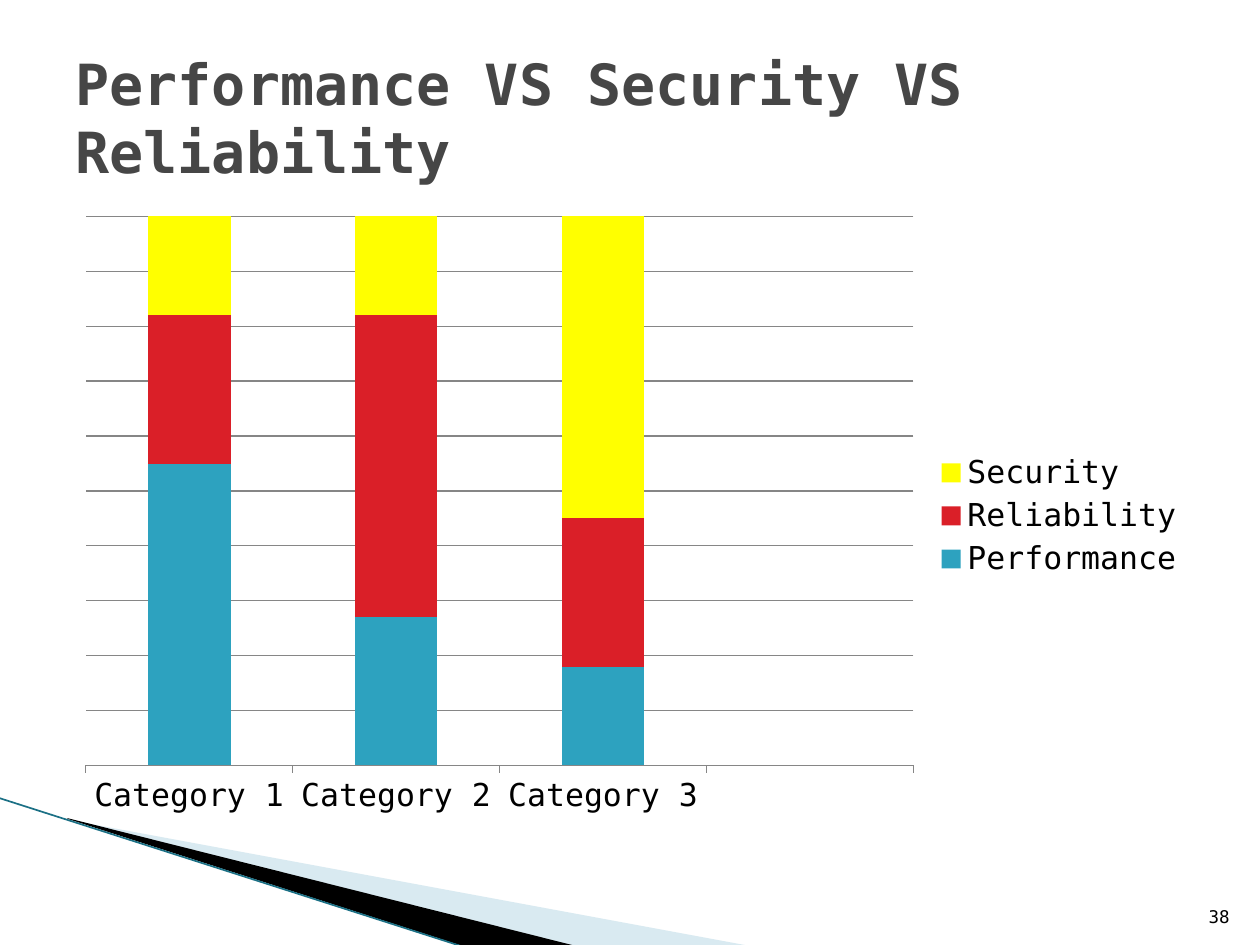
from lxml.etree import SubElement
from pptx import Presentation
from pptx.chart.data import CategoryChartData
from pptx.dml.color import RGBColor
from pptx.enum.chart import XL_CHART_TYPE, XL_LEGEND_POSITION, XL_TICK_MARK
from pptx.enum.shapes import MSO_CONNECTOR
from pptx.enum.text import MSO_ANCHOR, PP_ALIGN
from pptx.oxml import parse_xml
from pptx.oxml.ns import nsdecls, qn
from pptx.util import Pt

PX = 914400 / 126
THEME = {
    "font": "DejaVu Sans Mono",
    "title_size": 32.4, "chart_size": 18, "number_size": 10,
    "title": "464646", "text": "000000", "grid": "868686",
    "performance": "2DA2BF", "reliability": "DA1F28", "security": "FFFF00",
    "pale": "A0CBDC", "dark": "000000", "edge": "1B7085",
}


def px(value):
    return round(value * PX)


def add_text(text, box, size, color, bold=False, align=PP_ALIGN.LEFT, anchor=MSO_ANCHOR.MIDDLE):
    frame = slide.shapes.add_textbox(*map(px, box)).text_frame
    frame.word_wrap = True
    frame.vertical_anchor = anchor
    paragraph = frame.paragraphs[0]
    paragraph.alignment = align
    run = paragraph.add_run()
    run.text = text
    run.font.name = THEME["font"]
    run.font.size = Pt(THEME[size])
    run.font.bold = bold
    run.font.color.rgb = RGBColor.from_string(THEME[color])


presentation = Presentation()
presentation.slide_width = px(1260)
presentation.slide_height = px(945)
slide = presentation.slides.add_slide(presentation.slide_layouts[6])

wedges = [
    ([(69, 820), (750, 946), (575, 946), (69, 819)], "pale", 40),
    ([(67, 818), (576, 946), (469, 948), (68, 819)], "dark", 100),
]
for points, color, opacity in wedges:
    builder = slide.shapes.build_freeform(*points[0], scale=PX)
    builder.add_line_segments(points[1:], close=True)
    wedge = builder.convert_to_shape()
    wedge.shadow.inherit = False
    wedge.line.fill.background()
    wedge.fill.solid()
    wedge.fill.fore_color.rgb = RGBColor.from_string(THEME[color])
    if opacity < 100:
        fill_color = wedge.fill._xPr.find(".//" + qn("a:srgbClr"))
        SubElement(fill_color, qn("a:alpha")).set("val", str(opacity * 1000))

edge = slide.shapes.add_connector(MSO_CONNECTOR.STRAIGHT, px(-1), px(798), px(467), px(948))
edge.line.color.rgb = RGBColor.from_string(THEME["edge"])
edge.line.width = Pt(0.95)
SubElement(edge._element.spPr, qn("a:effectLst"))

data = CategoryChartData()
data.categories = ["Category 1", "Category 2", "Category 3", ""]
data.add_series("Performance", [55, 27, 18, None])
data.add_series("Reliability", [27, 55, 27, None])
data.add_series("Security", [18, 18, 55, None])
chart = slide.shapes.add_chart(
    XL_CHART_TYPE.COLUMN_STACKED_100, px(63), px(204), px(1134), px(624), data
).chart
chart.has_title = False
chart.font.name = THEME["font"]
chart.font.size = Pt(THEME["chart_size"])
chart.font.color.rgb = RGBColor.from_string(THEME["text"])
chart.has_legend = True
chart.legend.position = XL_LEGEND_POSITION.RIGHT
chart.legend.include_in_layout = False

plot = chart.plots[0]
plot.gap_width = 150
plot.overlap = 100
plot.vary_by_categories = False
for series in plot.series:
    series.format.fill.solid()
    series.format.fill.fore_color.rgb = RGBColor.from_string(THEME[series.name.lower()])

chart.value_axis.visible = False
chart.value_axis.has_major_gridlines = True
chart.category_axis.major_tick_mark = XL_TICK_MARK.OUTSIDE
for line in (chart.value_axis.major_gridlines.format.line, chart.category_axis.format.line):
    line.color.rgb = RGBColor.from_string(THEME["grid"])
    line.width = Pt(0.75)

plot_area = chart._chartSpace.chart.plotArea
for old_layout in plot_area.findall(qn("c:layout")):
    plot_area.remove(old_layout)
plot_area.insert(0, parse_xml(
    f'<c:layout {nsdecls("c")}><c:manualLayout><c:layoutTarget val="inner"/>'
    '<c:xMode val="edge"/><c:yMode val="edge"/>'
    '<c:x val="0.02"/><c:y val="0.02"/><c:w val="0.73"/><c:h val="0.88"/>'
    '</c:manualLayout></c:layout>'
))

add_text("38", (1192, 883, 50, 50), size="number_size", color="text",
         align=PP_ALIGN.RIGHT, anchor=MSO_ANCHOR.BOTTOM)
add_text("Performance VS Security VS Reliability", (63, 38, 1134, 158),
         size="title_size", color="title", bold=True)

presentation.save("out.pptx")
